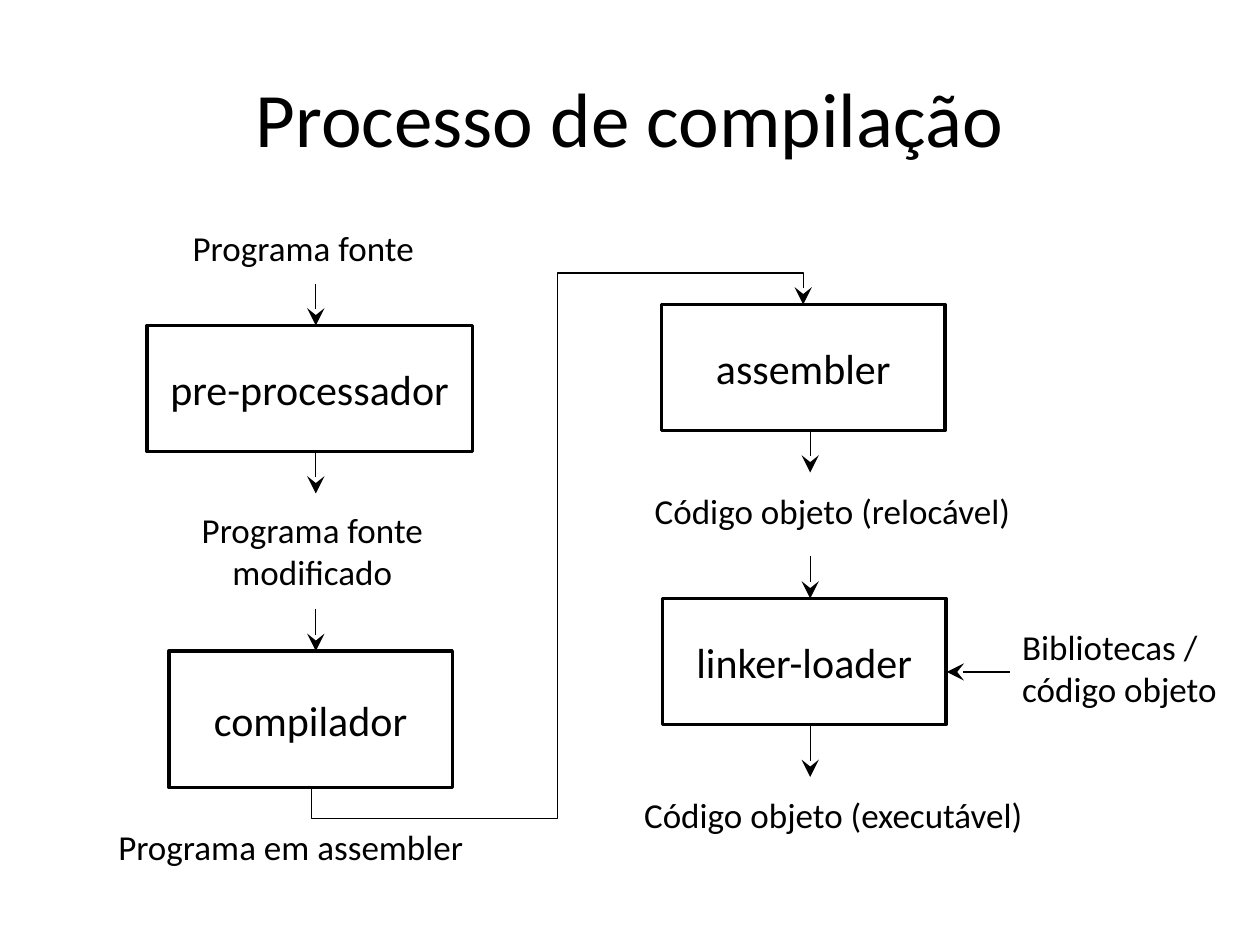
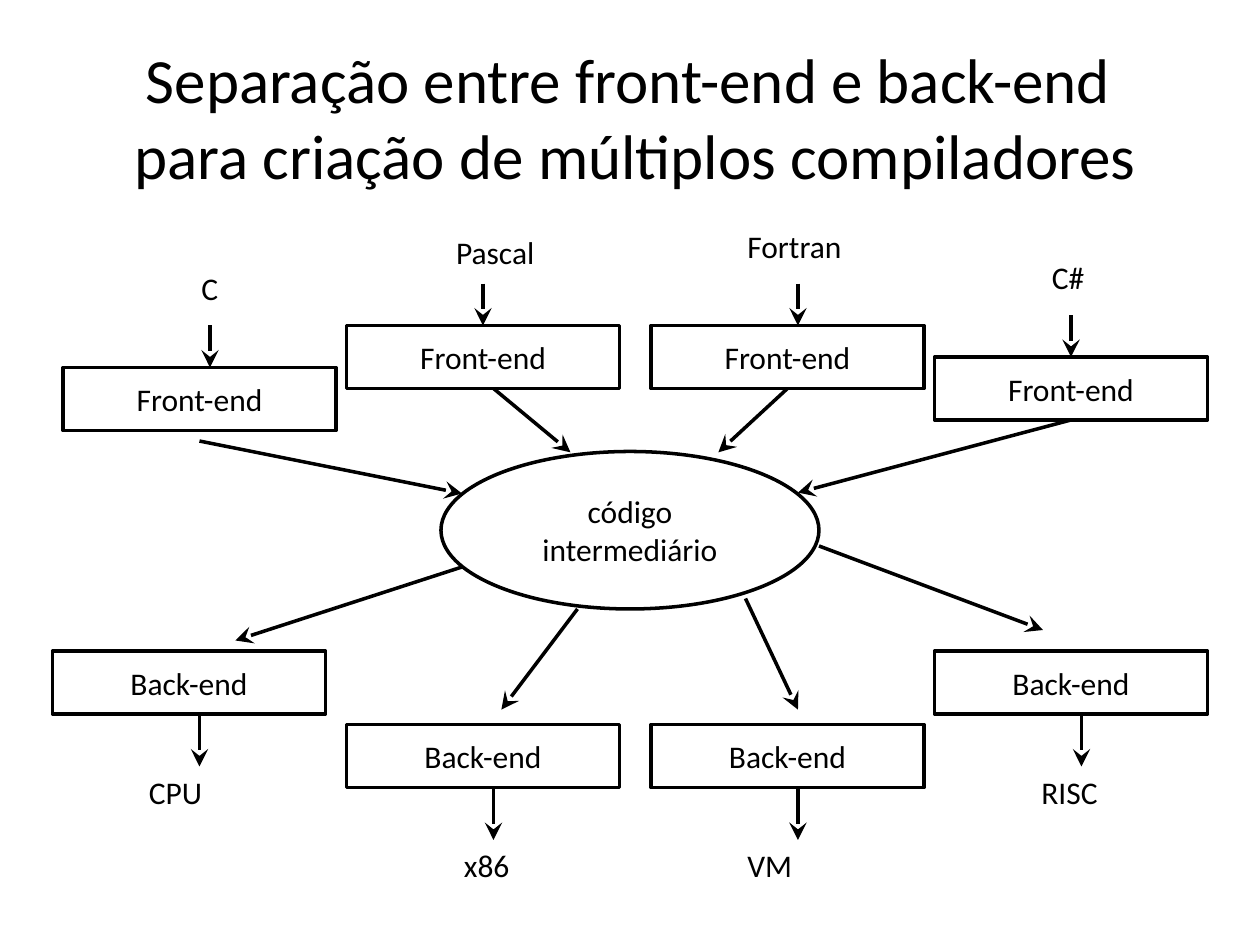
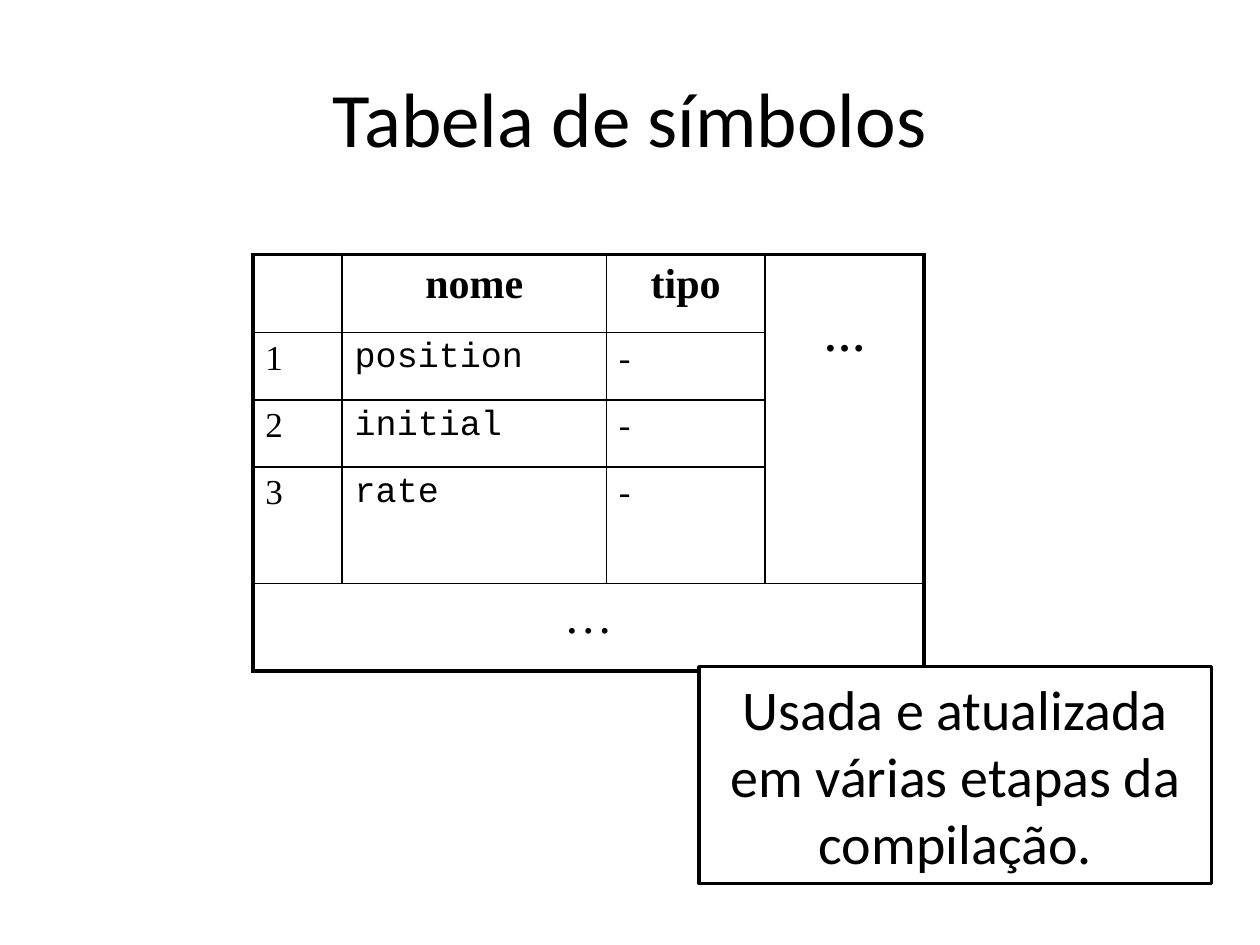
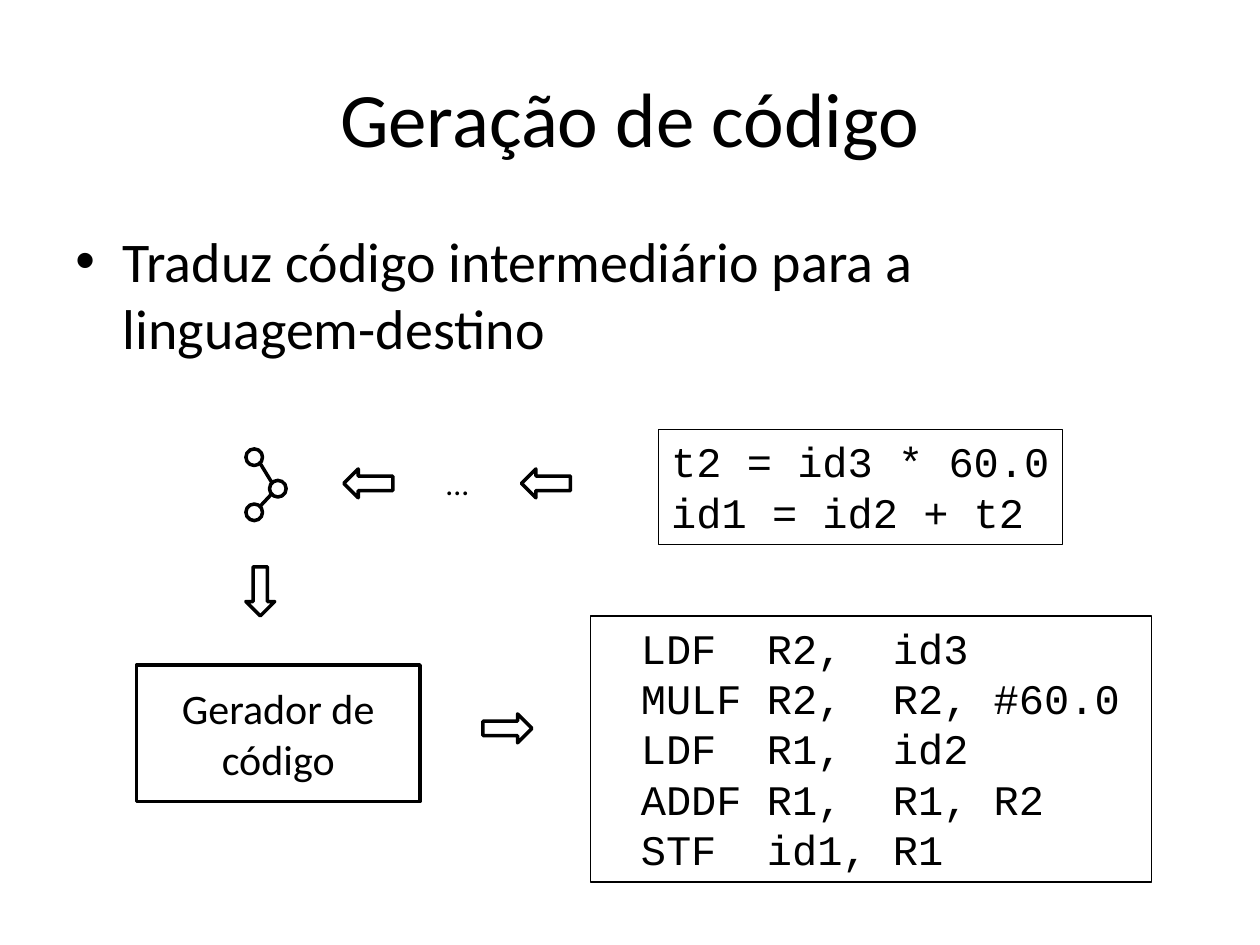
from lxml import etree
from pptx import Presentation
from pptx.dml.color import RGBColor
from pptx.enum.shapes import MSO_CONNECTOR, MSO_SHAPE
from pptx.enum.text import MSO_ANCHOR, MSO_AUTO_SIZE, PP_ALIGN
from pptx.oxml.ns import qn
from pptx.util import Pt

RECTANGLE, OVAL = MSO_SHAPE.RECTANGLE, MSO_SHAPE.OVAL
LEFT_ARROW, RIGHT_ARROW = MSO_SHAPE.LEFT_ARROW, MSO_SHAPE.RIGHT_ARROW
DOWN_ARROW = MSO_SHAPE.DOWN_ARROW
STRAIGHT, ELBOW = MSO_CONNECTOR.STRAIGHT, MSO_CONNECTOR.ELBOW
LEFT, CENTER = PP_ALIGN.LEFT, PP_ALIGN.CENTER
TOP, MIDDLE = MSO_ANCHOR.TOP, MSO_ANCHOR.MIDDLE
GROW = MSO_AUTO_SIZE.SHAPE_TO_FIT_TEXT

COLORS = {"ink": "000000", "paper": "FFFFFF"}
SANS, MONO, SERIF = "Calibri", "Courier New", "Times New Roman"
THIN, THICK = 0.75, 2

# Slide 1: text, alignment, (left, top, width, height)
STAGES = [
    ("compilador", (96.5, 372, 162, 78)),
    ("pre-processador", (84, 186, 186, 72)),
    ("assembler", (378, 174, 162, 72)),
    ("linker-loader", (378.5, 342, 162, 72)),
]
ARTIFACTS = [
    ("Programa fonte", LEFT, (103, 126, 142, 32)),
    ("Programa fonte\vmodificado", CENTER, (105, 287, 147, 55)),
    ("Programa em assembler", LEFT, (60.5, 468, 214, 32)),
    ("Código objeto (relocável)", LEFT, (367, 276, 220, 32)),
    ("Código objeto (executável)", LEFT, (361, 450, 233, 32)),
    ("Bibliotecas /\ncódigo objeto", LEFT, (577, 354, 127, 55)),
]
# x of each column, then (start y, end y) of its arrows
FLOWS = {
    180.5: [(162, 186), (258, 282), (348, 372)],
    463: [(246, 270), (318, 342), (414, 444)],
}
LIBRARY_ARROW = (577, 384, 541, 384)
ASSEMBLER_ROUTE = (178, 450, 459, 174)
ROUTE_BENDS = (-6500, 50000, 106500)

# Slide 2: label, label box (left, top, width), box corner, arrow x, spoke
FRONT_ENDS = [
    ("C", (108, 150, 31), (36, 210), 120, (114, 252, 264, 282)),
    ("Pascal", (253.5, 129.5, 76), (198, 186), 276, (282, 222, 326, 258.5)),
    ("Fortran", (420, 126, 86), (372, 186), 456, (450, 222, 410.5, 258.5)),
    ("C#", (594, 144, 43), (534, 204), 612, (612, 240, 456, 281.5)),
]
BACK_ENDS = [
    ("CPU", (78, 438, 70), (30, 372), 114, (264, 324, 134.5, 366)),
    ("x86", (258, 480, 51), (198, 414), 282, (330, 348, 286.5, 405.5)),
    ("VM", (420, 480, 67), (372, 414), 456, (426, 342, 456, 405.5)),
    ("RISC", (588, 438, 71), (534, 372), 618, (468, 312, 596, 360)),
]
END_WIDTH, END_HEIGHT, LABEL_HEIGHT = 156, 36, 36.5
# arrow start and end, measured from the top of the box
ENDS = [
    ("Front-end", FRONT_ENDS, -24, 0),
    ("Back-end", BACK_ENDS, END_HEIGHT, END_HEIGHT + 30),
]

# Slide 3
SYMBOLS = [
    ("", "nome", "tipo", "…"),
    ("1", "position", "-", ""),
    ("2", "initial", "-", ""),
    ("3", "rate", "-", ""),
    ("…", "", "", ""),
]
COLUMN_WIDTHS = (51, 151, 90.75, 90.75)
ROW_HEIGHTS = (44.5, 38.5, 38.5, 65, 50)
NOTE = "Usada e atualizada em várias etapas da compilação."

# Slide 4
SUMMARY = "Traduz código intermediário para a linguagem-destino"
INTERMEDIATE_CODE = ["t2 = id3 * 60.0", "id1 = id2 + t2"]
ASSEMBLY_CODE = [
    "LDF  R2,  id3",
    "MULF R2,  R2, #60.0",
    "LDF  R1,  id2",
    "ADDF R1,  R1, R2",
    "STF  id1, R1",
]
BLOCK_ARROWS = [
    (RIGHT_ARROW, (276, 408, 28, 16.5)),
    (LEFT_ARROW, (298, 268, 28, 16.5)),
    (LEFT_ARROW, (196.5, 268, 28, 16.5)),
    (DOWN_ARROW, (140.5, 324, 16.5, 28)),
]
NODE_SIZE = 9.5
TREE_NODES = [(140.5, 256.5), (154, 274.5), (140.5, 288)]
TREE_EDGES = [(148.5, 264.5, 155.5, 276), (155.5, 282, 148.5, 289.5)]


def color(name):
    return RGBColor.from_string(COLORS[name])


def points(values):
    return [Pt(value) for value in values]


def write(text_frame, text, size, font=SANS, align=LEFT, bold=False):
    text_frame.text = text
    for paragraph in text_frame.paragraphs:
        paragraph.alignment = align
        for run in paragraph.runs:
            run.font.size = Pt(size)
            run.font.name = font
            run.font.bold = bold
            run.font.color.rgb = color("ink")


def add_text(slide, text, box, size, align=LEFT, anchor=TOP, wrap=True, fill=None):
    shape = slide.shapes.add_textbox(*points(box))
    if fill:
        shape.fill.solid()
        shape.fill.fore_color.rgb = color(fill)
    text_frame = shape.text_frame
    write(text_frame, text, size, align=align)
    text_frame.word_wrap = wrap
    text_frame.vertical_anchor = anchor
    if not wrap:
        text_frame.auto_size = GROW
    return shape


def add_outlined(slide, box, text="", size=18, kind=RECTANGLE, wrap=False):
    shape = slide.shapes.add_shape(kind, *points(box))
    shape.shadow.inherit = False
    shape.fill.solid()
    shape.fill.fore_color.rgb = color("paper")
    shape.line.color.rgb = color("ink")
    shape.line.width = Pt(THICK)
    if text:
        write(shape.text_frame, text, size, align=CENTER)
        shape.text_frame.word_wrap = wrap
        shape.text_frame.vertical_anchor = MIDDLE


def add_line(slide, ends, width, arrow=True, kind=STRAIGHT):
    connector = slide.shapes.add_connector(kind, *points(ends))
    connector.line.color.rgb = color("ink")
    connector.line.width = Pt(width)
    properties = connector._element.spPr
    if arrow:
        etree.SubElement(properties.find(qn("a:ln")), qn("a:tailEnd"),
                         type="stealth", w="lg", len="lg")
    etree.SubElement(properties, qn("a:effectLst"))
    return connector


def add_route(slide, ends, bends):
    """Five-part elbow that leaves downwards and arrives from above."""
    x1, y1, x2, y2 = ends
    half_width, half_height = (y1 - y2) / 2, (x2 - x1) / 2
    x, y = (x1 + x2) / 2, (y1 + y2) / 2
    unrotated = (x - half_width, y - half_height, x + half_width, y + half_height)
    properties = add_line(slide, unrotated, THIN, kind=ELBOW)._element.spPr
    properties.find(qn("a:xfrm")).set("rot", "16200000")
    geometry = properties.find(qn("a:prstGeom"))
    geometry.set("prst", "bentConnector5")
    for number, bend in enumerate(bends, 1):
        etree.SubElement(geometry.find(qn("a:avLst")), qn("a:gd"),
                         name=f"adj{number}", fmla=f"val {bend}")


def add_code(slide, lines, box, indent=0):
    shape = slide.shapes.add_shape(RECTANGLE, *points(box))
    shape.shadow.inherit = False
    shape.fill.background()
    shape.line.color.rgb = color("ink")
    shape.line.width = Pt(THIN)
    write(shape.text_frame, "\v".join(lines), 24, MONO)
    shape.text_frame.vertical_anchor = TOP
    shape.text_frame.margin_left = Pt(7.2 + indent)


def add_slide(presentation, title, size=44, left=36):
    slide = presentation.slides.add_slide(presentation.slide_layouts[6])
    add_text(slide, title, (left, 21.5, 648, 90), size, CENTER, MIDDLE)
    return slide


def set_borders(cell, outer):
    """Thick lines on outer sides; covered cells get no inner lines."""
    properties = cell._tc.get_or_add_tcPr()
    for side in "LRTB":
        if cell.is_spanned and side not in outer:
            continue
        width = 2.25 if side in outer else 1
        line = etree.SubElement(properties, qn(f"a:ln{side}"), w=str(Pt(width)))
        fill = etree.SubElement(line, qn("a:solidFill"))
        etree.SubElement(fill, qn("a:srgbClr"), val=COLORS["ink"])


def add_symbol_table(slide):
    rows, columns = len(ROW_HEIGHTS), len(COLUMN_WIDTHS)
    box = (144.5, 145.5, sum(COLUMN_WIDTHS), sum(ROW_HEIGHTS))
    table = slide.shapes.add_table(rows, columns, *points(box)).table
    table.first_row = table.horz_banding = False
    for column, width in zip(table.columns, COLUMN_WIDTHS):
        column.width = Pt(width)
    for row, height in zip(table.rows, ROW_HEIGHTS):
        row.height = Pt(height)
    table.cell(0, 3).merge(table.cell(3, 3))
    table.cell(4, 0).merge(table.cell(4, 3))
    for r, texts in enumerate(SYMBOLS):
        for c, text in enumerate(texts):
            cell = table.cell(r, c)
            edges = {"L": c == 0, "R": c + cell.span_width >= columns,
                     "T": r == 0, "B": r == rows - 1}
            set_borders(cell, [side for side, is_outer in edges.items() if is_outer])
            cell.fill.background()
            header, footer = r == 0, r == rows - 1
            size = 24 if header else 28 if footer else 20
            font = MONO if c == 1 and not header else SERIF
            if text:
                write(cell.text_frame, text, size, font,
                      CENTER if header or footer else LEFT, header)
    table.cell(0, 3).margin_top = Pt(34)


def build_process(presentation):
    slide = add_slide(presentation, "Processo de compilação")
    for text, box in STAGES:
        add_outlined(slide, box, text, 24)
    for text, align, box in ARTIFACTS:
        add_text(slide, text, box, 20, align, wrap=False)
    for x, spans in FLOWS.items():
        for start, end in spans:
            add_line(slide, (x, start, x, end), THIN)
    add_line(slide, LIBRARY_ARROW, THIN)
    add_route(slide, ASSEMBLER_ROUTE, ROUTE_BENDS)


def build_ends(presentation):
    title = "Separação entre front-end e back-end \vpara criação de múltiplos compiladores"
    slide = add_slide(presentation, title, 36, left=39)
    for _, items, _, _ in ENDS:
        for label, place, _, _, _ in items:
            add_text(slide, label, (*place, LABEL_HEIGHT), 18, wrap=False, fill="paper")
    add_outlined(slide, (252, 258, 216, 90), "código intermediário", kind=OVAL, wrap=True)
    for name, items, start, end in ENDS:
        for _, _, (left, top), x, spoke in items:
            add_outlined(slide, (left, top, END_WIDTH, END_HEIGHT), name)
            add_line(slide, (x, top + start, x, top + end), THICK)
            add_line(slide, spoke, THICK)


def build_symbols(presentation):
    slide = add_slide(presentation, "Tabela de símbolos")
    add_symbol_table(slide)
    add_outlined(slide, (399.5, 381, 293, 124), NOTE, 32, wrap=True)


def build_generation(presentation):
    slide = add_slide(presentation, "Geração de código")
    body = add_text(slide, SUMMARY, (36, 126, 628, 356.5), 32)
    properties = body.text_frame.paragraphs[0]._p.get_or_add_pPr()
    properties.set("marL", str(Pt(27)))
    properties.set("indent", str(Pt(-27)))
    etree.SubElement(properties, qn("a:buFont"), typeface="Arial")
    etree.SubElement(properties, qn("a:buChar"), char="•")
    add_code(slide, ASSEMBLY_CODE, (337.5, 352, 320.5, 152), indent=21.5)
    add_code(slide, INTERMEDIATE_CODE, (376.5, 245.5, 230.5, 65.5))
    add_outlined(slide, (78, 380, 162, 78), "Gerador de\ncódigo", 24)
    for left, top in TREE_NODES:
        add_outlined(slide, (left, top, NODE_SIZE, NODE_SIZE), kind=OVAL)
    for ends in TREE_EDGES:
        add_line(slide, ends, THICK, arrow=False)
    for kind, box in BLOCK_ARROWS:
        add_outlined(slide, box, kind=kind)
    add_text(slide, "...", (247.5, 261.5, 30, 29), 18, wrap=False, fill="paper")


def main():
    presentation = Presentation()
    presentation.slide_width, presentation.slide_height = Pt(720), Pt(540)
    for build in (build_process, build_ends, build_symbols, build_generation):
        build(presentation)
    presentation.save("out.pptx")


if __name__ == "__main__":
    main()
